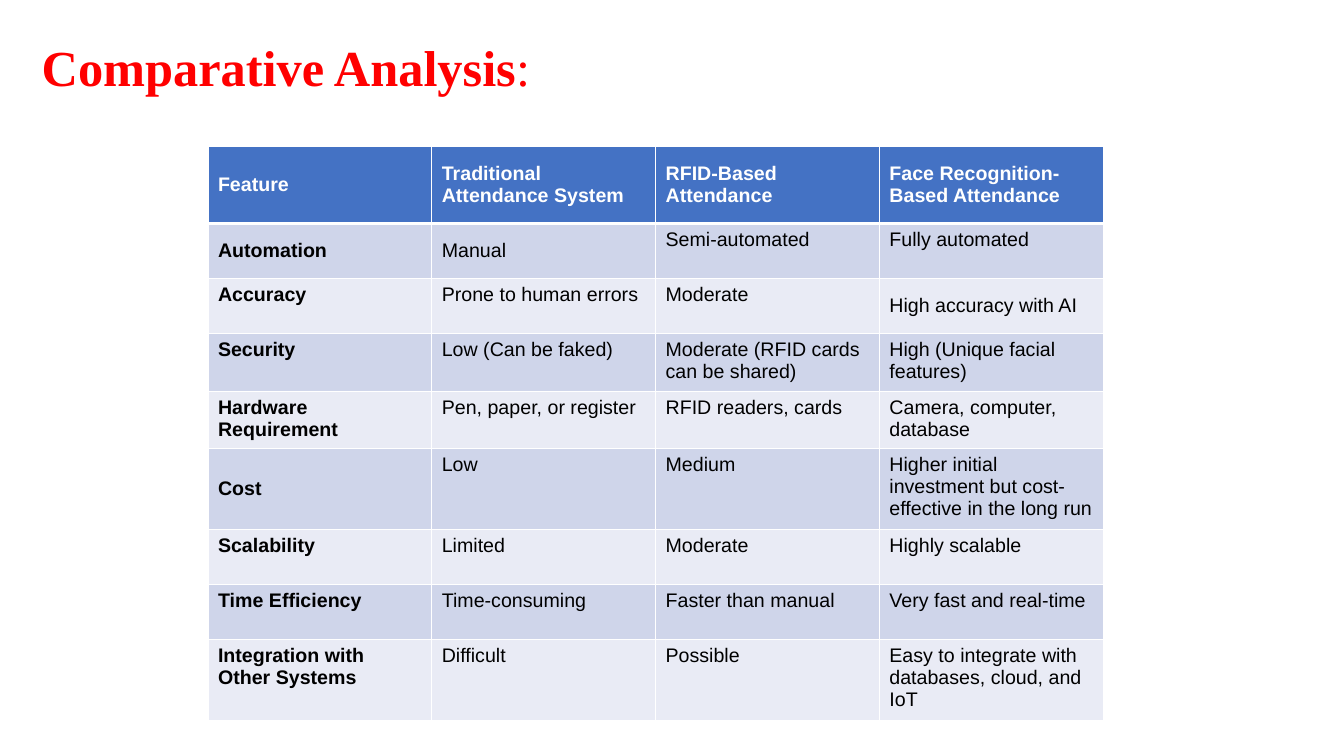
from lxml import etree
from pptx import Presentation
from pptx import util as u
from pptx.dml.color import RGBColor
from pptx.enum import text
from pptx.oxml.ns import qn

RED = RGBColor(0xFF, 0x00, 0x00)
WHITE = RGBColor(0xFF, 0xFF, 0xFF)
BLACK = RGBColor(0x00, 0x00, 0x00)
HEADER_BLUE = RGBColor(0x44, 0x72, 0xC4)
BANDS = (RGBColor(0xCF, 0xD5, 0xEA), RGBColor(0xE9, 0xEB, 0xF5))

FEATURES = [
    ("Feature", "Traditional Attendance System", "RFID-Based Attendance",
     "Face Recognition-Based Attendance"),
    ("Automation", "Manual", "Semi-automated", "Fully automated"),
    ("Accuracy", "Prone to human errors", "Moderate", "High accuracy with AI"),
    ("Security", "Low (Can be faked)", "Moderate (RFID cards can be shared)",
     "High (Unique facial features)"),
    ("Hardware Requirement", "Pen, paper, or register", "RFID readers, cards",
     "Camera, computer, database"),
    ("Cost", "Low", "Medium",
     "Higher initial investment but cost-effective in the long run"),
    ("Scalability", "Limited", "Moderate", "Highly scalable"),
    ("Time Efficiency", "Time-consuming", "Faster than manual",
     "Very fast and real-time"),
    ("Integration with Other Systems", "Difficult", "Possible",
     "Easy to integrate with databases, cloud, and IoT"),
]
COLUMN_WIDTH = 5.64
ROW_HEIGHTS = (1.93, 1.39, 1.39, 1.45, 1.45, 2.03, 1.39, 1.39, 2.03)
MIDDLE_CELLS = {(1, 0), (1, 1), (2, 3), (5, 0)}  # body cells centred vertically


class ComparisonSlide:
    title_font = "Times New Roman"
    table_font = "Arial"

    def __init__(self, presentation):
        self.slide = presentation.slides.add_slide(presentation.slide_layouts[6])

    def add_title(self, title, ending, left, top, width, height):
        """Add a bold title followed by an ending in regular weight."""
        shape = self.slide.shapes.add_textbox(
            u.Cm(left), u.Cm(top), u.Cm(width), u.Cm(height))
        frame = shape.text_frame
        frame.word_wrap = True
        frame.vertical_anchor = text.MSO_ANCHOR.MIDDLE
        paragraph = frame.paragraphs[0]
        paragraph.line_spacing = 0.9
        for words, bold in ((title, True), (ending, False)):
            run = paragraph.add_run()
            run.text = words
            font = run.font
            font.name, font.size, font.bold = self.title_font, u.Pt(36), bold
            font.color.rgb = RED

    def add_table(self, rows, left, top, column_width, row_heights):
        column_count = len(rows[0])
        table = self.slide.shapes.add_table(
            len(rows), column_count, u.Cm(left), u.Cm(top),
            u.Cm(column_width * column_count), u.Cm(sum(row_heights))).table
        for column in table.columns:
            column.width = u.Cm(column_width)
        for row, height in zip(table.rows, row_heights):
            row.height = u.Cm(height)
        for row_index, row in enumerate(rows):
            for column_index, words in enumerate(row):
                self.fill_cell(table.cell(row_index, column_index), words,
                               row_index, column_index)

    def fill_cell(self, cell, words, row_index, column_index):
        header = row_index == 0
        self.add_borders(cell, top=3 if row_index == 1 else 1,
                         bottom=3 if header else 1)
        cell.fill.solid()
        cell.fill.fore_color.rgb = HEADER_BLUE if header else BANDS[(row_index - 1) % 2]
        middle = header or (row_index, column_index) in MIDDLE_CELLS
        cell.vertical_anchor = text.MSO_ANCHOR.MIDDLE if middle else text.MSO_ANCHOR.TOP
        cell.text = words
        font = cell.text_frame.paragraphs[0].font
        font.name, font.size = self.table_font, u.Pt(14)
        font.bold = header or column_index == 0
        font.color.rgb = WHITE if header else BLACK

    def add_borders(self, cell, top, bottom):
        """Draw white borders; top and bottom are widths in points."""
        properties = cell._tc.get_or_add_tcPr()
        for side, width in (("L", 1), ("R", 1), ("T", top), ("B", bottom)):
            line = etree.SubElement(properties, qn(f"a:ln{side}"), w=str(u.Pt(width)))
            fill = etree.SubElement(line, qn("a:solidFill"))
            etree.SubElement(fill, qn("a:srgbClr"), val=str(WHITE))


def main():
    presentation = Presentation()
    presentation.slide_width = u.Cm(33.87)
    presentation.slide_height = u.Cm(19.05)
    slide = ComparisonSlide(presentation)
    slide.add_title("Comparative Analysis", ":", 0.8, 0.69, 29.2, 2.16)
    slide.add_table(FEATURES, 5.24, 3.7, COLUMN_WIDTH, ROW_HEIGHTS)
    presentation.save("out.pptx")


if __name__ == "__main__":
    main()
